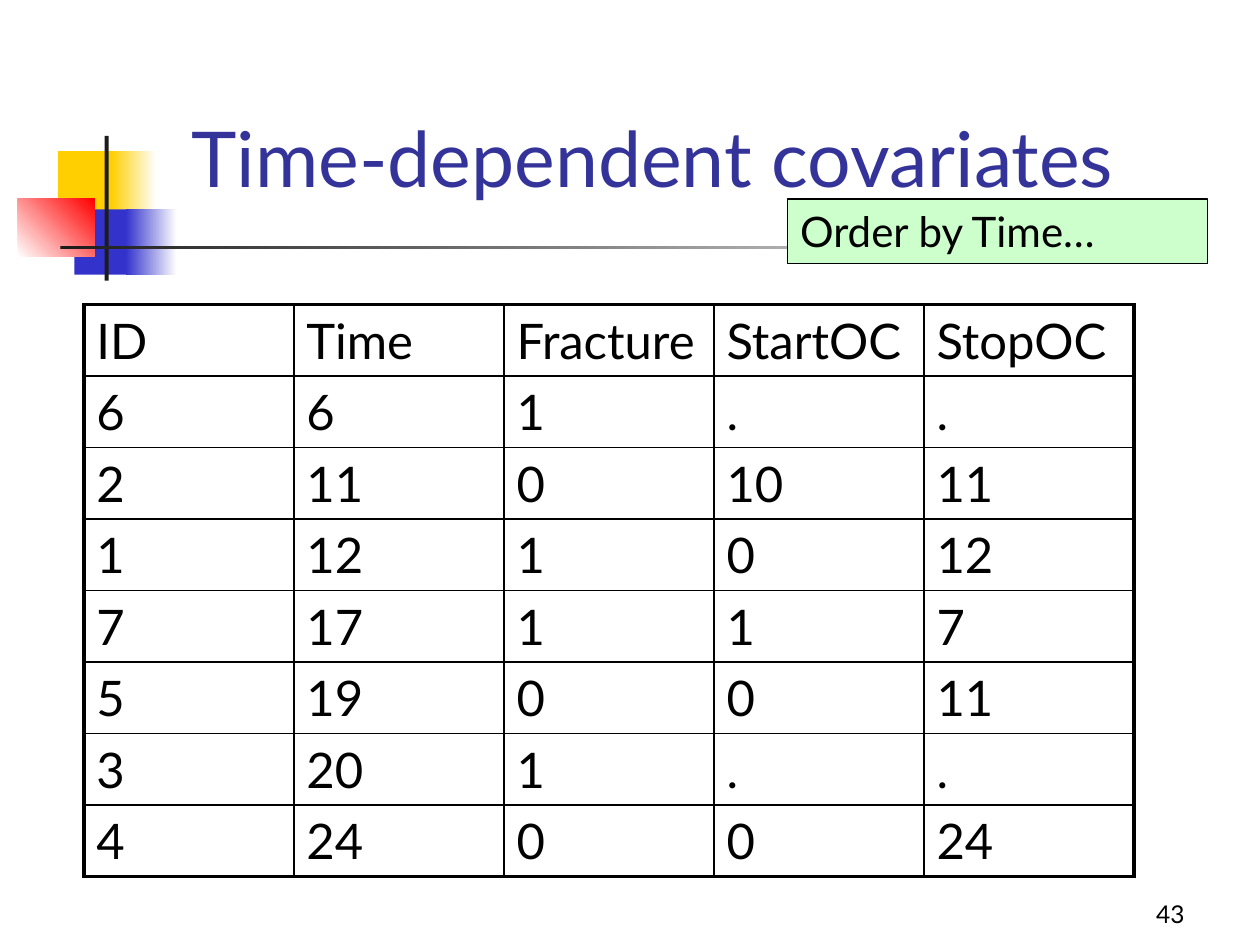
from dataclasses import dataclass

from lxml.etree import SubElement
from pptx import Presentation
from pptx.dml.color import RGBColor
from pptx.enum.shapes import MSO_SHAPE as Shape
from pptx.enum.text import MSO_ANCHOR as Anchor, PP_ALIGN as Align
from pptx.oxml.ns import qn
from pptx.util import Cm, Pt


@dataclass(frozen=True)
class Theme:
    font: str = "Lato"
    text: str = "000000"
    title: str = "333399"
    paper: str = "FFFFFF"
    callout: str = "CCFFCC"
    yellow: str = "FFCF01"
    blue: str = "3333CC"
    red: str = "FF0000"
    rule: str = "1C1C1C"
    title_size: float = 44
    table_size: float = 28
    callout_size: float = 24
    number_size: float = 14
    outer_line: float = 2.25
    inner_line: float = 1
    callout_line: float = 0.75


@dataclass(frozen=True)
class Box:
    """A region in centimetres."""
    left: float
    top: float
    width: float
    height: float

    def inner(self, x, y, width, height):
        return Box(self.left + x, self.top + y, width, height)

    def lengths(self):
        return [Cm(v) for v in (self.left, self.top, self.width, self.height)]


THEME = Theme()
ROWS = [
    ["ID", "Time", "Fracture", "StartOC", "StopOC"],
    ["6", "6", "1", ".", "."],
    ["2", "11", "0", "10", "11"],
    ["1", "12", "1", "0", "12"],
    ["7", "17", "1", "1", "7"],
    ["5", "19", "0", "0", "11"],
    ["3", "20", "1", ".", "."],
    ["4", "24", "0", "0", "24"],
]


def rgb(color):
    return RGBColor.from_string(color)


def write(tf, text, size, color=THEME.text, align=Align.LEFT):
    tf.text = text
    p = tf.paragraphs[0]
    p.alignment = align
    font = p.runs[0].font
    font.name, font.size, font.color.rgb = THEME.font, Pt(size), rgb(color)


def add_rect(s, box, color, end_color=None, angle=0):
    """Add a borderless rectangle, shaded towards end_color if there is one."""
    sp = s.shapes.add_shape(Shape.RECTANGLE, *box.lengths())
    sp.shadow.inherit = False
    sp.line.fill.background()
    if end_color is None:
        sp.fill.solid()
        sp.fill.fore_color.rgb = rgb(color)
    else:
        sp.fill.gradient()
        sp.fill.gradient_angle = angle
        for stop, shade in zip(sp.fill.gradient_stops, (color, end_color)):
            stop.color.rgb = rgb(shade)
    return sp


def add_ornament(s, box):
    t = THEME
    block = 1.32
    for color, x, y, width, fade_x, fade_width in (
        (t.yellow, 0.81, 0.31, 1.22, 1.88, 0.91),
        (t.blue, 1.14, 1.48, 1.17, 2.18, 1.02),
    ):
        add_rect(s, box.inner(x, y, width, block), color)
        add_rect(s, box.inner(fade_x, y, fade_width, block), color, t.paper)
    add_rect(s, box.inner(0, 1.27, 1.55, 1.17), t.paper, t.red, angle=45)
    add_rect(s, box.inner(1.75, 0, 0.08, box.height), t.rule)
    add_rect(s, box.inner(0.86, 2.21, box.width - 0.86, 0.08), t.rule, t.paper)


def add_title(s, box):
    tf = s.shapes.add_textbox(*box.lengths()).text_frame
    tf.word_wrap = False
    write(tf, "Time-dependent covariates", THEME.title_size, THEME.title)


def add_number(s, box):
    tf = s.shapes.add_textbox(*box.lengths()).text_frame
    tf.word_wrap = True
    tf.vertical_anchor = Anchor.BOTTOM
    write(tf, "43", THEME.number_size, align=Align.RIGHT)


def set_borders(cell, widths):
    """Draw the left, right, top and bottom borders in the given points."""
    props = cell._tc.get_or_add_tcPr()
    for side, width in zip("LRTB", widths):
        line = SubElement(props, qn(f"a:ln{side}"), w=str(Pt(width)))
        fill = SubElement(line, qn("a:solidFill"))
        SubElement(fill, qn("a:srgbClr"), val=THEME.text)


def add_data_table(s, box):
    n_rows, n_cols = len(ROWS), len(ROWS[0])
    table = s.shapes.add_table(n_rows, n_cols, *box.lengths()).table
    table.first_row = table.horz_banding = False
    for column in table.columns:
        column.width = Cm(box.width / n_cols)
    for row in table.rows:
        row.height = Cm(box.height / n_rows)
    for i, values in enumerate(ROWS):
        for j, value in enumerate(values):
            cell = table.cell(i, j)
            write(cell.text_frame, value, THEME.table_size)
            at_edge = (j == 0, j == n_cols - 1, i == 0, i == n_rows - 1)
            set_borders(cell, [THEME.outer_line if edge else THEME.inner_line
                               for edge in at_edge])
            cell.fill.background()


def add_callout(s, box):
    sp = add_rect(s, box, THEME.callout)
    sp.line.color.rgb = rgb(THEME.text)
    sp.line.width = Pt(THEME.callout_line)
    tf = sp.text_frame
    tf.word_wrap = True
    tf.vertical_anchor = Anchor.TOP
    write(tf, "Order by Time…", THEME.callout_size)


def main():
    prs = Presentation()
    prs.slide_width, prs.slide_height = Cm(25.4), Cm(19.05)
    s = prs.slides.add_slide(prs.slide_layouts[6])
    add_ornament(s, Box(0.36, 2.74, 23.72, 2.92))
    add_number(s, Box(18.85, 17.58, 5.28, 1.27))
    add_title(s, Box(3.61, 2.11, 19.13, 2.11))
    add_data_table(s, Box(1.69, 6.14, 21.17, 11.52))
    add_callout(s, Box(15.88, 4.01, 8.46, 1.3))
    prs.save("out.pptx")


if __name__ == "__main__":
    main()
